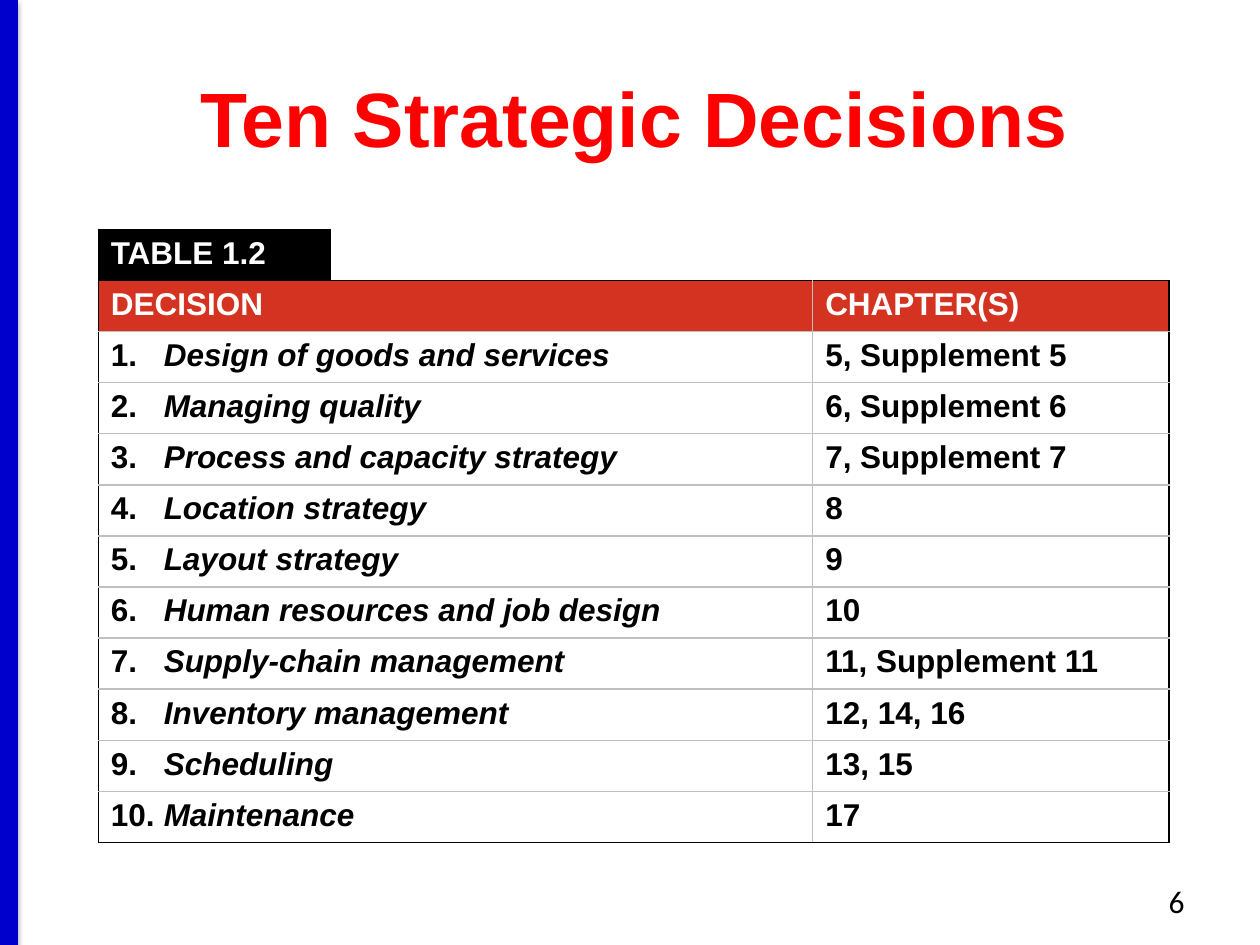
from dataclasses import dataclass

from lxml import etree
from pptx import Presentation
from pptx.dml.color import RGBColor
from pptx.enum.shapes import MSO_CONNECTOR
from pptx.enum.text import MSO_ANCHOR, PP_ALIGN
from pptx.oxml import parse_xml
from pptx.oxml.ns import nsdecls, qn
from pptx.util import Inches, Pt

STRAIGHT = MSO_CONNECTOR.STRAIGHT
MIDDLE = MSO_ANCHOR.MIDDLE
CENTER, RIGHT = PP_ALIGN.CENTER, PP_ALIGN.RIGHT


@dataclass(frozen=True)
class Theme:
    title: str = "FF0000"
    bar: str = "0000CC"
    header: str = "D33320"
    ink: str = "000000"
    paper: str = "FFFFFF"
    rule: str = "BFBFBF"
    font: str = "Arial"
    number_font: str = "Calibri"
    title_size: int = 44
    body_size: int = 18


THEME = Theme()


def add_run(paragraph, text, color, size=THEME.body_size, name=THEME.font, bold=True, italic=False):
    run = paragraph.add_run()
    run.text = text
    formats = {"name": name, "size": Pt(size), "bold": bold, "italic": italic}
    for attribute, value in formats.items():
        setattr(run.font, attribute, value)
    run.font.color.rgb = RGBColor.from_string(color)


def set_borders(cell, left, right, top, bottom):
    properties = cell._tc.get_or_add_tcPr()
    for side, color in zip("LRTB", (left, right, top, bottom)):
        line = etree.SubElement(properties, qn(f"a:ln{side}"), w=str(Pt(1)))
        if color:
            fill = etree.SubElement(line, qn("a:solidFill"))
            etree.SubElement(fill, qn("a:srgbClr"), val=color)
        else:
            etree.SubElement(line, qn("a:noFill"))


DECISIONS = [
    ("Design of goods and services", "5, Supplement 5"),
    ("Managing quality", "6, Supplement 6"),
    ("Process and capacity strategy", "7, Supplement 7"),
    ("Location strategy", "8"),
    ("Layout strategy", "9"),
    ("Human resources and job design", "10"),
    ("Supply-chain management", "11, Supplement 11"),
    ("Inventory management", "12, 14, 16"),
    ("Scheduling", "13, 15"),
    ("Maintenance", "17"),
]

presentation = Presentation()
presentation.slide_width = Inches(10)
presentation.slide_height = Inches(7.5)
slide = presentation.slides.add_slide(presentation.slide_layouts[5])

side_bar = slide.shapes.add_connector(STRAIGHT, Inches(0.07), 0, Inches(0.07), Inches(7.5))
side_bar.line.color.rgb = RGBColor.from_string(THEME.bar)
side_bar.line.width = Pt(10)
side_bar._element.spPr.append(parse_xml(
    f'<a:effectLst {nsdecls("a")}>'
    f'<a:outerShdw blurRad="{Pt(3.1)}" dist="{Pt(1.6)}" dir="5400000" rotWithShape="0">'
    f'<a:srgbClr val="{THEME.ink}"><a:alpha val="38000"/></a:srgbClr>'
    '</a:outerShdw></a:effectLst>'
))

title = slide.shapes.title
title.left, title.top = Inches(0.07), Inches(0.3)
title.width, title.height = Inches(9.93), Inches(1.25)
title.text_frame.vertical_anchor = MIDDLE
heading = title.text_frame.paragraphs[0]
heading.alignment = CENTER
add_run(heading, "Ten Strategic Decisions", THEME.title, size=THEME.title_size)

row_count = len(DECISIONS) + 2
last_row = row_count - 1
decision_table = slide.shapes.add_table(
    row_count, 3, Inches(0.78), Inches(1.82), Inches(8.5), Inches(4.87)
).table
decision_table.first_row = False
decision_table.horz_banding = False
for column, width in zip(decision_table.columns, (1.85, 3.82, 2.83)):
    column.width = Inches(width)

for row in range(row_count):
    for column in range(3):
        cell = decision_table.cell(row, column)
        if row == 0:
            label_edge = THEME.ink if column == 0 else None
            set_borders(cell, label_edge, None, label_edge, THEME.ink)
        else:
            set_borders(
                cell,
                THEME.ink if column == 0 else THEME.rule,
                THEME.ink if column == 2 else THEME.rule,
                THEME.ink if row == 1 else THEME.rule,
                THEME.ink if row == last_row else THEME.rule,
            )
        background = {(0, 0): THEME.ink}.get((row, column), THEME.header if row == 1 else None)
        if background:
            cell.fill.solid()
            cell.fill.fore_color.rgb = RGBColor.from_string(background)
        else:
            cell.fill.background()
    if row > 0:
        decision_table.cell(row, 0).merge(decision_table.cell(row, 1))

for row, column, caption in ((0, 0, "TABLE 1.2"), (1, 0, "DECISION"), (1, 2, "CHAPTER(S)")):
    add_run(decision_table.cell(row, column).text_frame.paragraphs[0], caption, THEME.paper)

for number, (decision, chapters) in enumerate(DECISIONS, start=1):
    entry = decision_table.cell(number + 1, 0).text_frame.paragraphs[0]
    tabs = etree.SubElement(entry._p.get_or_add_pPr(), qn("a:tabLst"))
    etree.SubElement(tabs, qn("a:tab"), pos=str(Inches(0.42)), algn="l")
    add_run(entry, f"{number}.\t", THEME.ink)
    add_run(entry, decision, THEME.ink, italic=True)
    add_run(decision_table.cell(number + 1, 2).text_frame.paragraphs[0], chapters, THEME.ink)

page_box = slide.shapes.add_textbox(Inches(7.17), Inches(6.95), Inches(2.33), Inches(0.4))
page_box.text_frame.word_wrap = True
page_number = page_box.text_frame.paragraphs[0]
page_number.alignment = RIGHT
add_run(page_number, "6", THEME.ink, name=THEME.number_font, bold=False)

presentation.save("out.pptx")
